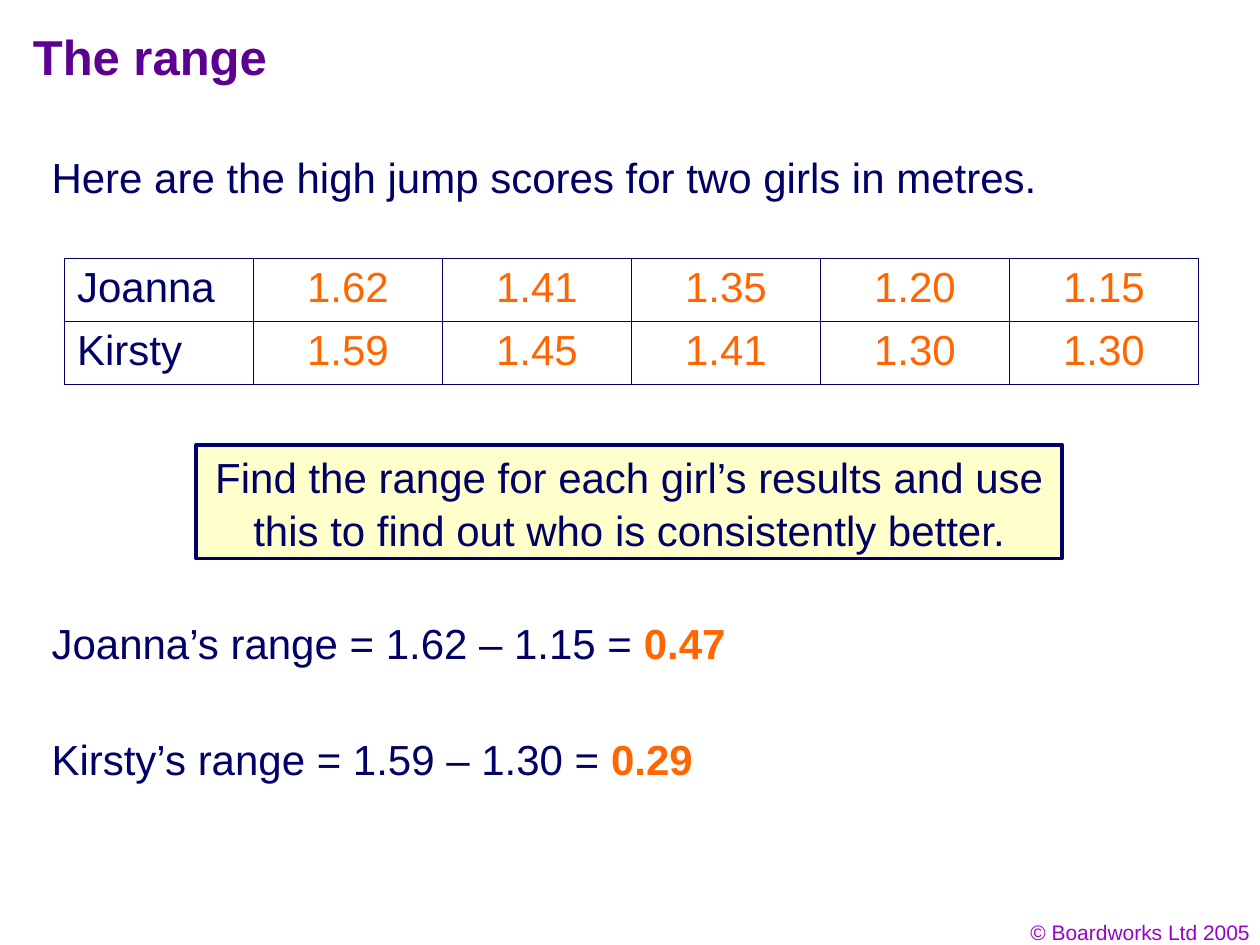
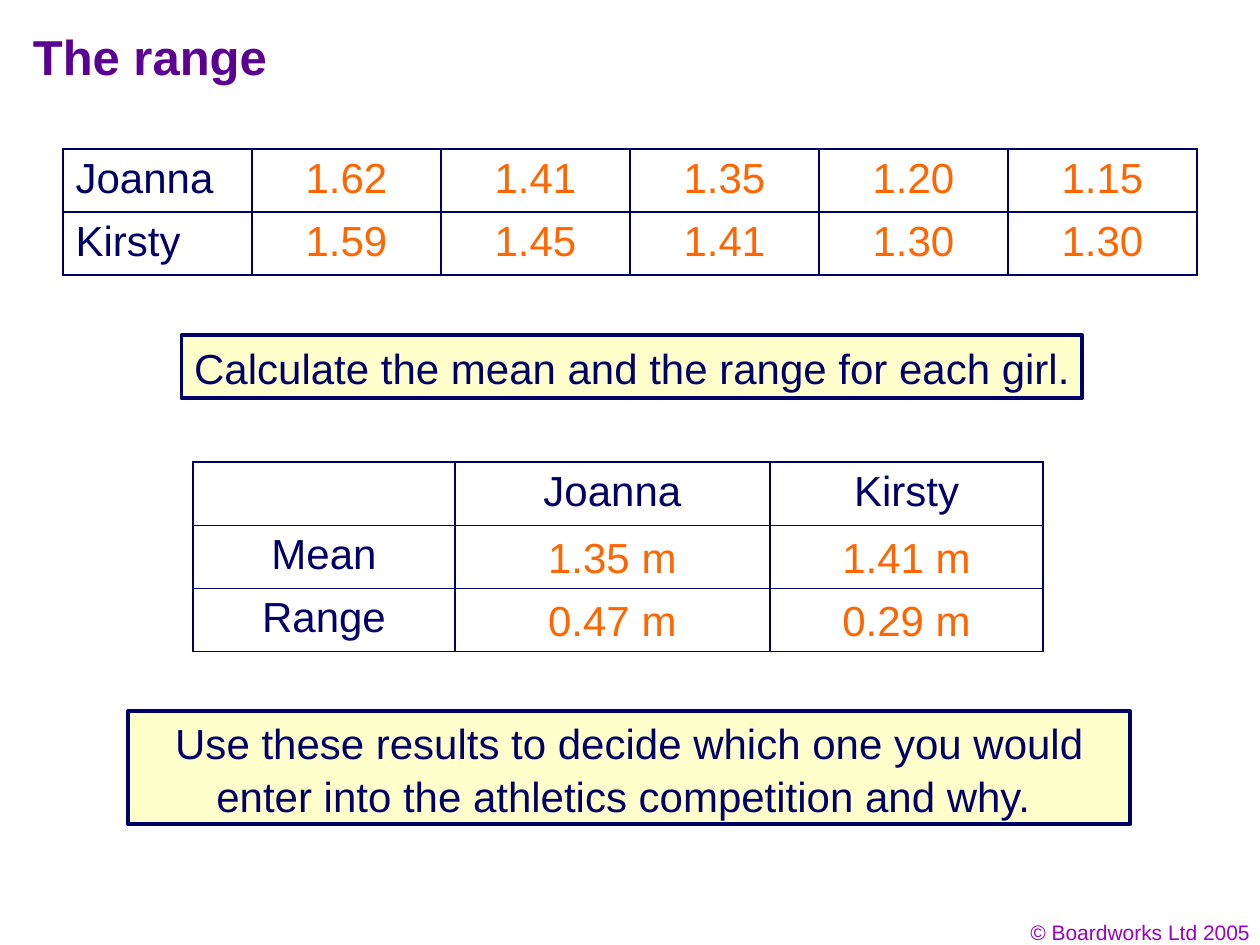
from dataclasses import dataclass

from lxml.etree import SubElement
from pptx import Presentation
from pptx.dml.color import RGBColor
from pptx.enum.shapes import MSO_SHAPE
from pptx.enum.text import MSO_ANCHOR, PP_ALIGN
from pptx.oxml.ns import qn
from pptx.util import Cm, Pt


@dataclass(frozen=True)
class Theme:
    font: str = "Arial"
    ink: str = "000066"
    answer: str = "FF6600"
    title: str = "5B0091"
    footer: str = "9900CC"
    panel: str = "FFFFCC"
    title_size: int = 28
    body_size: int = 24
    footer_size: int = 12
    grid_width: float = 1.08
    panel_width: float = 2.25


THEME = Theme()
TITLE = "The range"
FOOTER = "© Boardworks Ltd 2005"
SCORES = [
    ["Joanna", "1.62", "1.41", "1.35", "1.20", "1.15"],
    ["Kirsty", "1.59", "1.45", "1.41", "1.30", "1.30"],
]
SCORE_COLUMNS = [3.81] * 6
SUMMARY = [["", "Joanna", "Kirsty"], ["Mean", "", ""], ["Range", "", ""]]
SUMMARY_COLUMNS = [5.28, 6.35, 5.51]
RESULTS = [["1.35 m", "1.41 m"], ["0.47 m", "0.29 m"]]
ROW_HEIGHT = 1.27
LINE_HEIGHT = 1.27


def set_attributes(target, values):
    for name, value in values.items():
        setattr(target, name, value)


def write(frame, spans, size=THEME.body_size, align=PP_ALIGN.LEFT, **frame_format):
    set_attributes(frame, {"word_wrap": True, **frame_format})
    para = frame.paragraphs[0]
    para.alignment = align
    for text, color, bold in spans:
        span = para.add_run()
        span.text = text
        set_attributes(span.font, {"name": THEME.font, "size": Pt(size), "bold": bold})
        span.font.color.rgb = RGBColor.from_string(color)
    return para


def add_text(page, place, spans, **text_format):
    box = page.shapes.add_textbox(*map(Cm, place))
    write(box.text_frame, spans, vertical_anchor=MSO_ANCHOR.MIDDLE, **text_format)


def add_panel(page, place, text, **text_format):
    box = page.shapes.add_shape(MSO_SHAPE.RECTANGLE, *map(Cm, place))
    box.shadow.inherit = False
    box.fill.solid()
    box.fill.fore_color.rgb = RGBColor.from_string(THEME.panel)
    box.line.color.rgb = RGBColor.from_string(THEME.ink)
    box.line.width = Pt(THEME.panel_width)
    para = write(box.text_frame, [(text, THEME.ink, False)], align=PP_ALIGN.CENTER,
                 vertical_anchor=MSO_ANCHOR.MIDDLE, **text_format)
    para.line_spacing = 1.05


def outline_cell(cell):
    properties = cell._tc.get_or_add_tcPr()
    for position, side in enumerate(("lnL", "lnR", "lnT", "lnB")):
        line = properties.makeelement(qn(f"a:{side}"), {"w": str(Pt(THEME.grid_width))})
        fill = SubElement(line, qn("a:solidFill"))
        SubElement(fill, qn("a:srgbClr"), val=THEME.ink)
        properties.insert(position, line)


def add_grid(page, left, top, rows, column_widths, first_align, value_color):
    frame = page.shapes.add_table(
        len(rows), len(column_widths), Cm(left), Cm(top),
        Cm(sum(column_widths)), Cm(ROW_HEIGHT * len(rows)))
    table = frame.table
    set_attributes(table, {"first_row": False, "horz_banding": False})
    for column, width in zip(table.columns, column_widths):
        column.width = Cm(width)
    for row_index, row in enumerate(rows):
        table.rows[row_index].height = Cm(ROW_HEIGHT)
        for column_index, text in enumerate(row):
            cell = table.cell(row_index, column_index)
            cell.fill.background()
            outline_cell(cell)
            if text:
                color = value_color if column_index else THEME.ink
                align = PP_ALIGN.CENTER if column_index else first_align
                write(cell.text_frame, [(text, color, False)], align=align)


def add_scores(page, left, top):
    add_grid(page, left, top, SCORES, SCORE_COLUMNS, PP_ALIGN.LEFT, THEME.answer)


def add_summary(page, left, top):
    add_grid(page, left, top, SUMMARY, SUMMARY_COLUMNS, PP_ALIGN.CENTER, THEME.ink)
    for row_index, row in enumerate(RESULTS, start=1):
        for column_index, text in enumerate(row, start=1):
            cell_left = left + sum(SUMMARY_COLUMNS[:column_index])
            place = (cell_left, top + ROW_HEIGHT * row_index,
                     SUMMARY_COLUMNS[column_index], LINE_HEIGHT)
            add_text(page, place, [(text, THEME.answer, False)], align=PP_ALIGN.CENTER)


def add_page(deck):
    page = deck.slides.add_slide(deck.slide_layouts[5])
    heading = page.shapes.title
    set_attributes(heading, {"left": Cm(0.41), "top": Cm(0.41),
                             "width": Cm(21.59), "height": Cm(1.7)})
    write(heading.text_frame, [(TITLE, THEME.title, True)], size=THEME.title_size,
          vertical_anchor=MSO_ANCHOR.TOP)
    add_text(page, (19.53, 18.42, 5.92, 0.76), [(FOOTER, THEME.footer, False)],
             size=THEME.footer_size, align=PP_ALIGN.RIGHT)
    return page


def add_range_page(deck):
    page = add_page(deck)
    add_text(page, (0.79, 2.92, 20.37, LINE_HEIGHT),
             [("Here are the high jump scores for two girls in metres.", THEME.ink, False)],
             word_wrap=False)
    add_scores(page, 1.3, 5.21)
    add_panel(page, (3.96, 8.97, 17.45, 2.29),
              "Find the range for each girl’s results and use this to find out "
              "who is consistently better.")
    workings = [("Joanna’s range = 1.62 – 1.15 = ", "0.47"),
                ("Kirsty’s range = 1.59 – 1.30 = ", "0.29")]
    for index, (working, answer) in enumerate(workings):
        add_text(page, (0.79, 12.32 + 2.34 * index, 14.1, LINE_HEIGHT),
                 [(working, THEME.ink, False), (answer, THEME.answer, True)],
                 word_wrap=False)


def add_comparison_page(deck):
    page = add_page(deck)
    add_summary(page, 3.89, 9.32)
    add_scores(page, 1.27, 3)
    add_panel(page, (3.66, 6.76, 18.16, LINE_HEIGHT),
              "Calculate the mean and the range for each girl.", word_wrap=False)
    add_panel(page, (2.59, 14.33, 20.19, 2.29),
              "Use these results to decide which one you would enter into the "
              "athletics competition and why. ")


def main():
    deck = Presentation()
    set_attributes(deck, {"slide_width": Cm(25.4), "slide_height": Cm(19.05)})
    add_range_page(deck)
    add_comparison_page(deck)
    deck.save("out.pptx")


if __name__ == "__main__":
    main()
